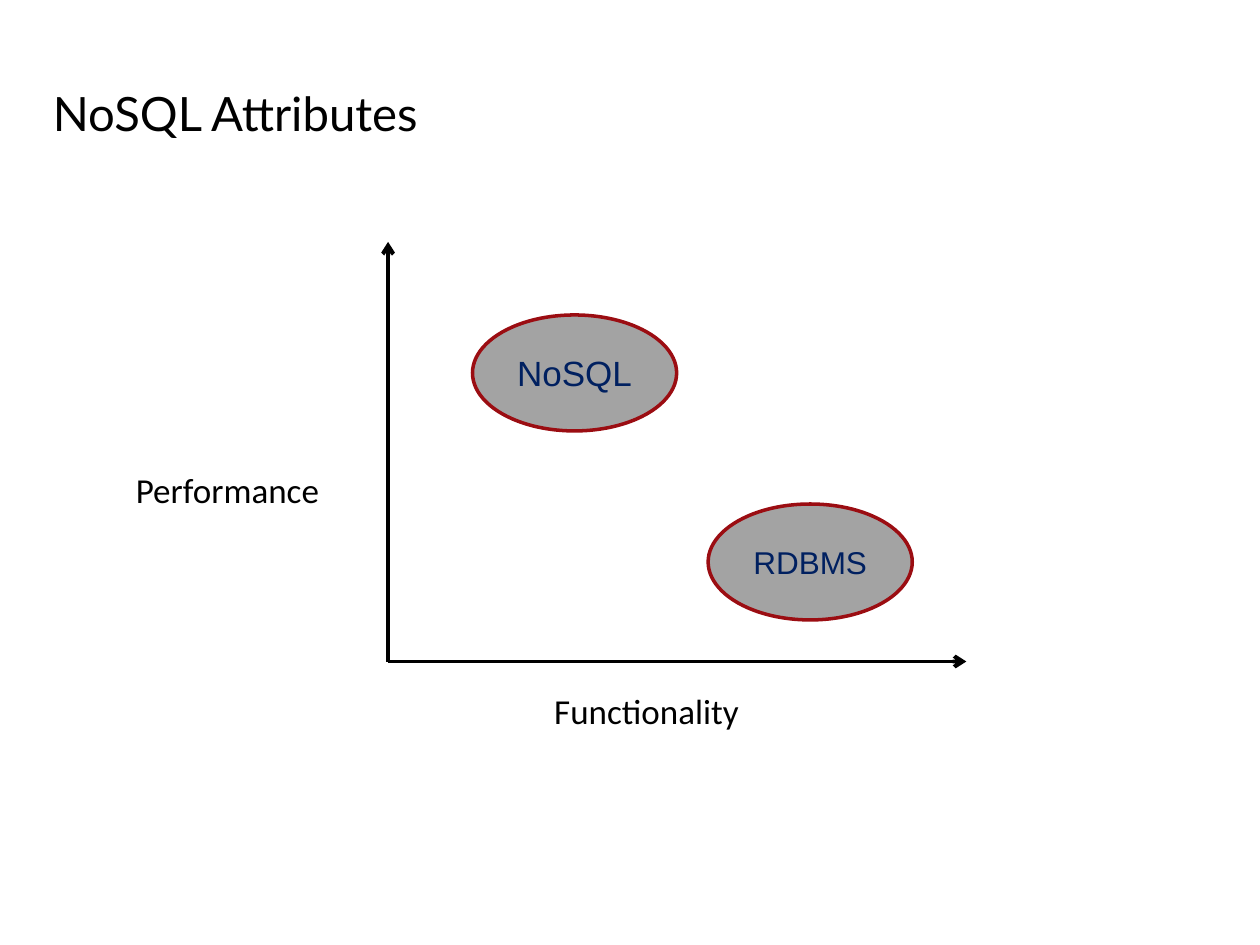
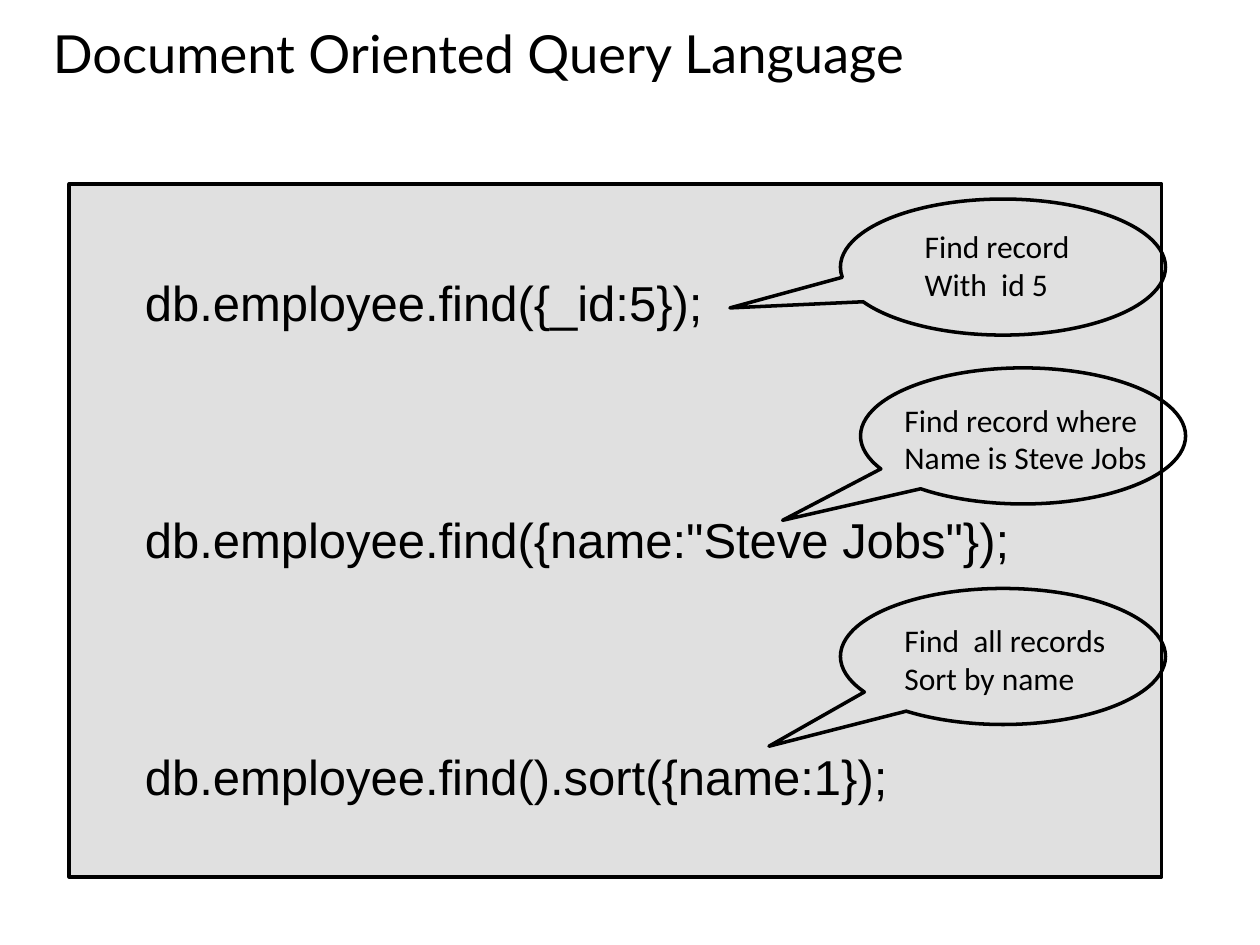
from lxml.etree import SubElement
from pptx import Presentation
from pptx.dml.color import RGBColor as RGB
from pptx.enum.shapes import MSO_CONNECTOR as LINE, MSO_SHAPE as SHAPE
from pptx.enum.text import MSO_ANCHOR as ANCHOR, PP_ALIGN as ALIGN
from pptx.oxml.ns import qn
from pptx.util import Inches, Pt

BLACK, NAVY, RED = "000000", "002060", "9B0D12"
GREY, PALE = "A3A3A3", "E0E0E0"


def write(box, text, size, face, hue=BLACK, align=ALIGN.LEFT, gap=0):
    """Fill a shape with text, one paragraph a line, gap points apart."""
    frame = box.text_frame
    frame.text = text
    for i, para in enumerate(frame.paragraphs):
        para.alignment = align
        para.space_before = Pt(gap if i else 0)
        for run in para.runs:
            run.font.size = Pt(size)
            run.font.name = face
            run.font.color.rgb = RGB.from_string(hue)
    return frame


def draw(slide, kind, place, fill, edge):
    """Add a preset shape with a 2 pt outline; fill None leaves it open."""
    shape = slide.shapes.add_shape(kind, *map(Inches, place))
    shape.shadow.inherit = False
    if fill:
        shape.fill.solid()
        shape.fill.fore_color.rgb = RGB.from_string(fill)
    else:
        shape.fill.background()
    shape.line.color.rgb = RGB.from_string(edge)
    shape.line.width = Pt(2)
    return shape


deck = Presentation()
deck.slide_width, deck.slide_height = Inches(10), Inches(7.5)

# Slides with their titles
slides = []
for title, top, size in [
    ("NoSQL Attributes", 0.67, 27),
    ("Document Oriented Query Language", 0.17, 30),
]:
    slide = deck.slides.add_slide(deck.slide_layouts[6])
    box = slide.shapes.add_textbox(Inches(0.42), Inches(top), Inches(9), Inches(0.67))
    frame = write(box, title, size, "Lato")
    frame.word_wrap = True
    frame.margin_left = frame.margin_right = 0
    frame.margin_top = frame.margin_bottom = 0
    slides.append(slide)
graph, query = slides

# Axes from a common origin
left, base = 3.08, 5.25
for x, y in [(7.67, base), (left, 1.92)]:
    axis = graph.shapes.add_connector(
        LINE.STRAIGHT, Inches(left), Inches(base), Inches(x), Inches(y))
    axis.line.color.rgb = RGB.from_string(BLACK)
    axis.line.width = Pt(2.25)
    SubElement(axis.line._get_or_add_ln(), qn("a:tailEnd"), type="arrow")
    SubElement(axis._element.spPr, qn("a:effectLst"))

# Systems placed on the graph
for name, x, y, size in [("NoSQL", 3.75, 2.5, 20), ("RDBMS", 5.62, 4, 18)]:
    oval = draw(graph, SHAPE.OVAL, (x, y, 1.62, 0.92), GREY, RED)
    write(oval, name, size, "Arial", NAVY, ALIGN.CENTER)

# Query panel
panel = draw(query, SHAPE.RECTANGLE, (0.55, 1.46, 8.67, 5.5), PALE, BLACK)
code = [
    "db.employee.find({_id:5});",
    'db.employee.find({name:"Steve Jobs"});',
    "db.employee.find().sort({name:1});",
]
frame = write(panel, "\n".join(code), 28, "Arial", gap=102)
frame.vertical_anchor = ANCHOR.TOP
frame.margin_left, frame.margin_top = Inches(0.6), Inches(0.7)

# Callouts, each with the offset of its tip
for x, y, tip in [
    (6.67, 1.58, (-0.84, 0.3)),
    (6.83, 2.92, (-0.74, 0.62)),
    (6.67, 4.67, (-0.72, 0.66)),
]:
    bubble = draw(query, SHAPE.OVAL_CALLOUT, (x, y, 2.58, 1.08), None, BLACK)
    bubble.adjustments[0], bubble.adjustments[1] = tip

# Axis names and callout notes
for slide, text, size, place in [
    (graph, "Functionality", 20, (4.3, 5.42, 1.69, 0.44)),
    (graph, "Performance", 20, (0.98, 3.67, 1.67, 0.44)),
    (query, "Find record\nWith  id 5", 18, (7.24, 1.75, 1.42, 0.71)),
    (query, "Find record where\nName is Steve Jobs", 18, (7.08, 3.13, 2.13, 0.71)),
    (query, "Find  all records\nSort by name", 18, (7.08, 4.88, 1.87, 0.71)),
]:
    note = slide.shapes.add_textbox(*map(Inches, place))
    write(note, text, size, "Calibri").word_wrap = False

deck.save("out.pptx")
